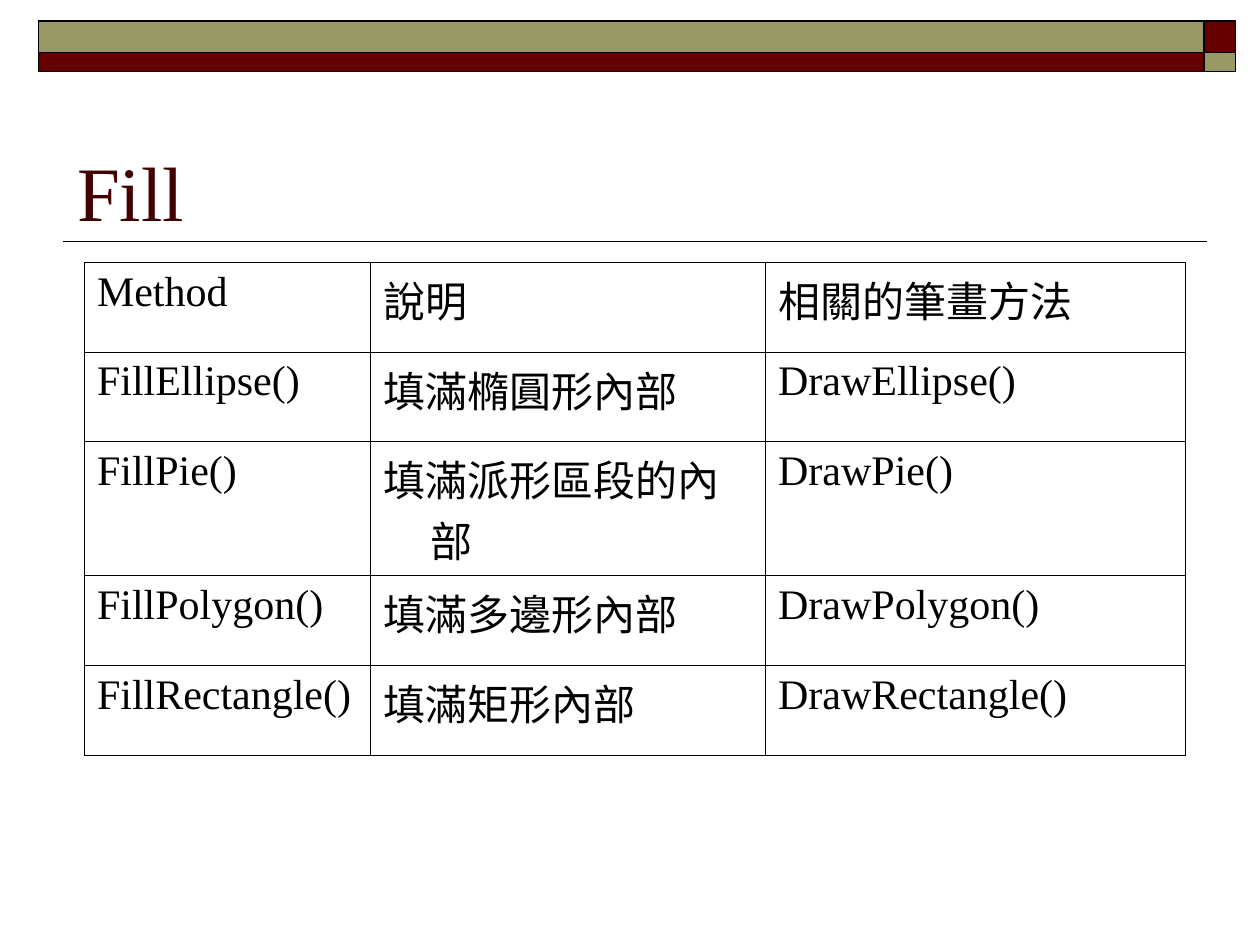
from dataclasses import dataclass

from lxml.etree import SubElement
from pptx import Presentation
from pptx.dml.color import RGBColor
from pptx.enum.shapes import MSO_CONNECTOR, MSO_SHAPE
from pptx.enum.text import MSO_ANCHOR
from pptx.oxml import parse_xml
from pptx.oxml.ns import nsdecls, qn
from pptx.util import Pt


@dataclass(frozen=True)
class Theme:
    maroon: str = "660000"
    olive: str = "999966"
    heading: str = "420000"
    ink: str = "000000"
    font: str = "Times New Roman"
    title_size: float = 44
    cell_size: float = 24
    rule_width: float = 1
    grid_width: float = 0.45


THEME = Theme()
METHODS = [
    ("Method", "說明", "相關的筆畫方法"),
    ("FillEllipse()", "填滿橢圓形內部", "DrawEllipse()"),
    ("FillPie()", "填滿派形區段的內部", "DrawPie()"),
    ("FillPolygon()", "填滿多邊形內部", "DrawPolygon()"),
    ("FillRectangle()", "填滿矩形內部", "DrawRectangle()"),
]


def write(frame, text, *, size, color, hanging=0):
    frame.word_wrap = True
    paragraph = frame.paragraphs[0]
    if hanging:
        properties = paragraph._p.get_or_add_pPr()
        properties.set("marL", str(Pt(hanging)))
        properties.set("indent", str(-Pt(hanging)))
    run = paragraph.add_run()
    run.text = text
    run.font.name = THEME.font
    run.font.size = Pt(size)
    run.font.color.rgb = RGBColor.from_string(color)


def add_banner(slide, left, top, width, height):
    corner = 18
    columns = [(left, width - corner), (left + width - corner, corner)]
    bands = [(top, corner), (top + corner, height - corner)]
    for row, (y, band_height) in enumerate(bands):
        for column, (x, band_width) in enumerate(columns):
            band = slide.shapes.add_shape(
                MSO_SHAPE.RECTANGLE, Pt(x), Pt(y), Pt(band_width), Pt(band_height)
            )
            band.shadow.inherit = False
            band.fill.solid()
            color = THEME.olive if row == column else THEME.maroon
            band.fill.fore_color.rgb = RGBColor.from_string(color)
            band.line.color.rgb = RGBColor.from_string(THEME.ink)
            band.line.width = Pt(THEME.rule_width)


def add_title(slide, text, left, top, width, height):
    title = slide.shapes.add_textbox(Pt(left), Pt(top), Pt(width), Pt(height))
    title.text_frame.vertical_anchor = MSO_ANCHOR.BOTTOM
    write(title.text_frame, text, size=THEME.title_size, color=THEME.heading)
    rule_y = Pt(top + height - 1)
    rule = slide.shapes.add_connector(
        MSO_CONNECTOR.STRAIGHT, Pt(left - 1), rule_y, Pt(left + width + 5), rule_y
    )
    rule.line.color.rgb = RGBColor.from_string(THEME.ink)
    rule.line.width = Pt(THEME.rule_width)
    SubElement(rule._element.spPr, qn("a:effectLst"))


def outline_cell(cell):
    cell.fill.background()
    properties = cell._tc.get_or_add_tcPr()
    for position, side in enumerate(("lnL", "lnR", "lnT", "lnB")):
        border = parse_xml(
            f'<a:{side} {nsdecls("a")} w="{Pt(THEME.grid_width)}">'
            f'<a:solidFill><a:srgbClr val="{THEME.ink}"/></a:solidFill></a:{side}>'
        )
        properties.insert(position, border)


def add_method_table(slide, rows, left, top, width, height):
    column_widths = (163.5, 225.75, width - 163.5 - 225.75)
    wrapped_row = 2
    wrapped_height = 76.6
    single_height = (height - wrapped_height) / (len(rows) - 1)
    table = slide.shapes.add_table(
        len(rows), len(column_widths), Pt(left), Pt(top), Pt(width), Pt(height)
    ).table
    table.first_row = False
    table.horz_banding = False
    for column, column_width in zip(table.columns, column_widths):
        column.width = Pt(column_width)
    for index, (row, texts) in enumerate(zip(table.rows, rows)):
        row.height = Pt(wrapped_height if index == wrapped_row else single_height)
        for cell, text in zip(row.cells, texts):
            outline_cell(cell)
            write(cell.text_frame, text, size=THEME.cell_size,
                  color=THEME.ink, hanging=27)


def main():
    presentation = Presentation()
    presentation.slide_width = Pt(720)
    presentation.slide_height = Pt(540)
    slide = presentation.slides.add_slide(presentation.slide_layouts[6])
    add_banner(slide, 22, 12, 684, 29)
    add_title(slide, "Fill", 37, 49, 648, 90)
    add_method_table(slide, METHODS, 48.25, 150, 629.25, 281.6)
    presentation.save("out.pptx")


if __name__ == "__main__":
    main()
